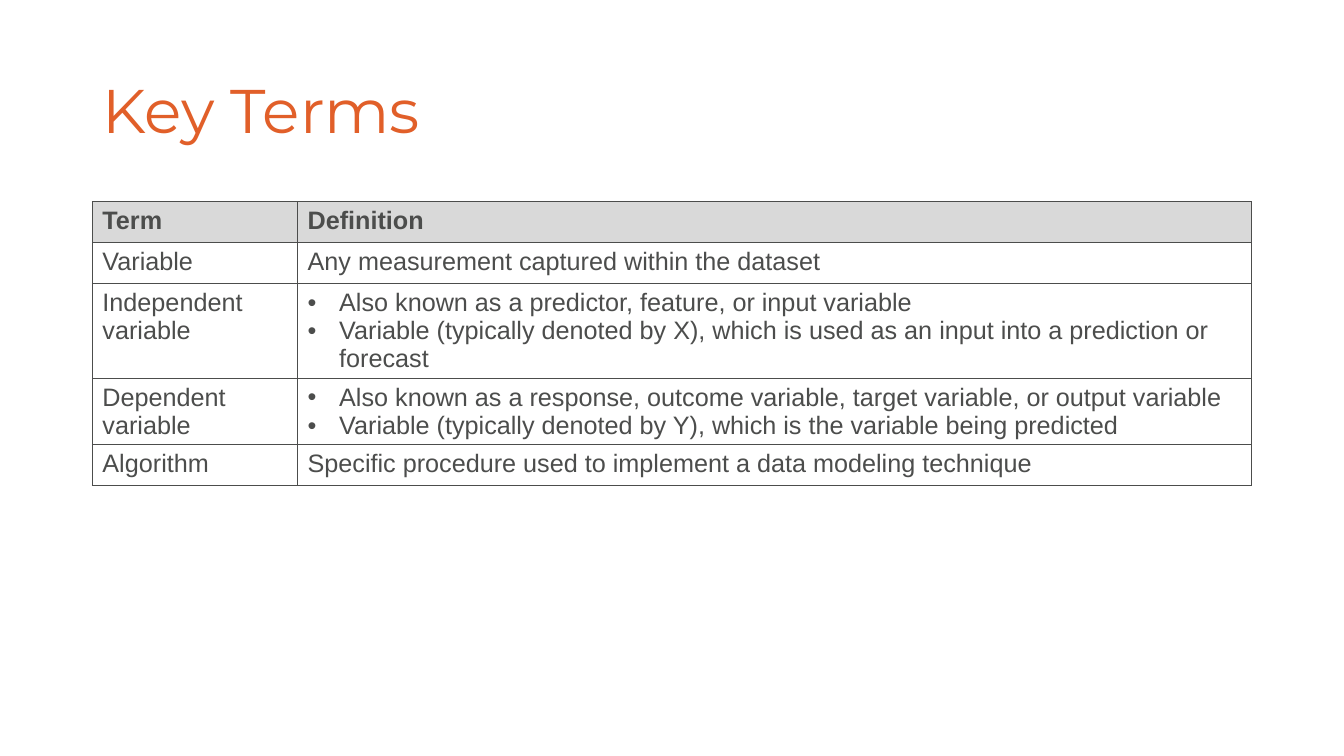
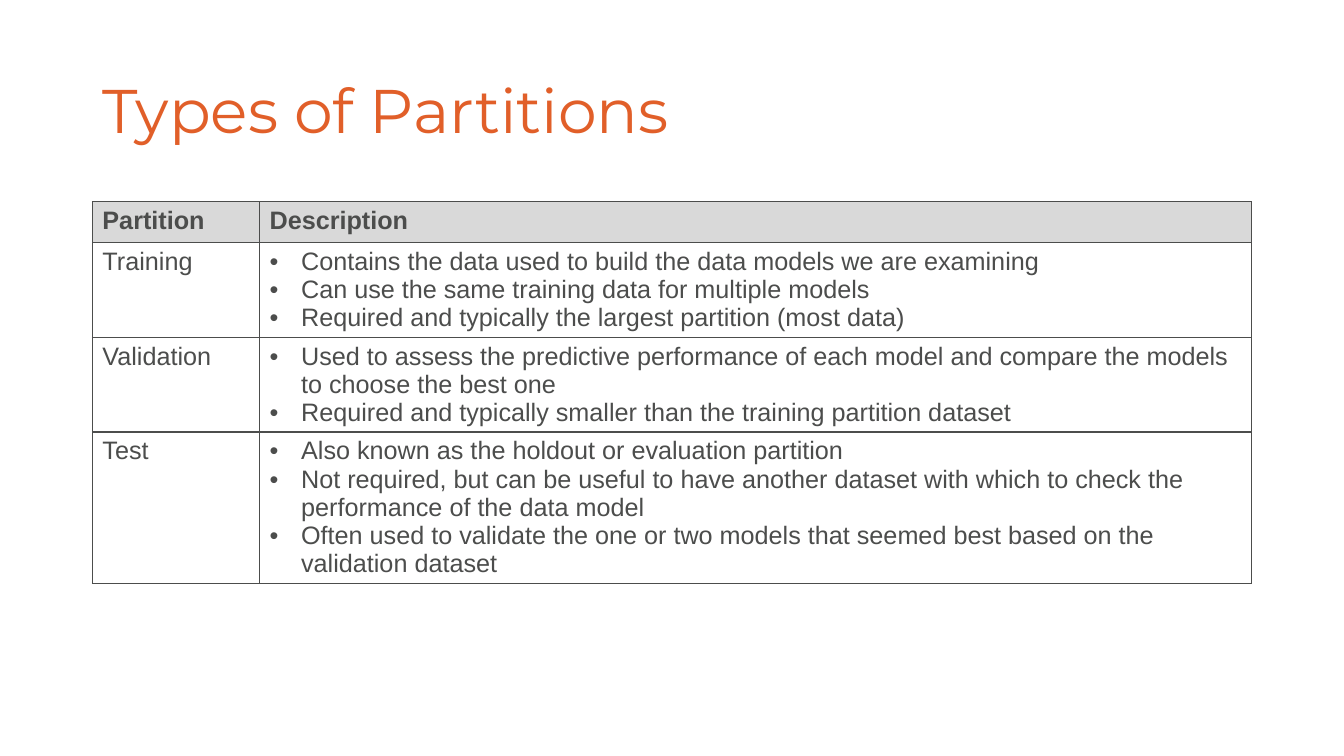
from dataclasses import dataclass

from lxml import etree
from pptx import Presentation
from pptx.dml.color import RGBColor
from pptx.enum.text import MSO_ANCHOR, MSO_AUTO_SIZE, PP_ALIGN
from pptx.oxml.ns import qn
from pptx.presentation import Presentation as Deck
from pptx.slide import Slide
from pptx.table import _Cell
from pptx.text.text import Font, _Paragraph
from pptx.util import Length, Pt

LEFT = PP_ALIGN.LEFT
MIDDLE = MSO_ANCHOR.MIDDLE
NO_AUTOFIT = MSO_AUTO_SIZE.NONE
TITLE_ONLY = 5
CELL_SIDES = ("a:lnL", "a:lnR", "a:lnT", "a:lnB")


@dataclass(frozen=True)
class Theme:
    accent: RGBColor = RGBColor(0xE1, 0x5F, 0x29)
    ink: RGBColor = RGBColor(0x4C, 0x4D, 0x4C)
    header_fill: RGBColor = RGBColor(0xD9, 0xD9, 0xD9)
    title_font: str = "Montserrat"
    table_font: str = "Arial"
    title_size: Length = Pt(44)
    table_size: Length = Pt(18)
    border: Length = Pt(1)
    bullet_indent: Length = Pt(22.5)


@dataclass(frozen=True)
class Layout:
    slide_width: Length = Pt(960)
    slide_height: Length = Pt(540)
    left: Length = Pt(66)
    width: Length = Pt(828)
    title_top: Length = Pt(28.75)
    title_height: Length = Pt(104.4)
    table_top: Length = Pt(144)
    row_height: Length = Pt(29.2)


@dataclass(frozen=True)
class Entry:
    term: str
    lines: tuple[str, ...]
    bulleted: bool = True


@dataclass(frozen=True)
class Glossary:
    title: str
    headings: tuple[str, str]
    term_width: Length
    entries: tuple[Entry, ...]


THEME = Theme()
LAYOUT = Layout()

GLOSSARIES = (
    Glossary("Key Terms", ("Term", "Definition"), Pt(146.6), (
        Entry("Variable", ("Any measurement captured within the dataset",), False),
        Entry("Independent variable", (
            "Also known as a predictor, feature, or input variable",
            "Variable (typically denoted by X), which is used as an input into a prediction or forecast",
        )),
        Entry("Dependent variable", (
            "Also known as a response, outcome variable, target variable, or output variable",
            "Variable (typically denoted by Y), which is the variable being predicted",
        )),
        Entry("Algorithm", ("Specific procedure used to implement a data modeling technique",), False),
    )),
    Glossary("Types of Partitions", ("Partition", "Description"), Pt(119.4), (
        Entry("Training", (
            "Contains the data used to build the data models we are examining",
            "Can use the same training data for multiple models",
            "Required and typically the largest partition (most data)",
        )),
        Entry("Validation", (
            "Used to assess the predictive performance of each model and compare the models to choose the best one",
            "Required and typically smaller than the training partition dataset",
        )),
        Entry("Test", (
            "Also known as the holdout or evaluation partition",
            "Not required, but can be useful to have another dataset with which to check the performance of the data model",
            "Often used to validate the one or two models that seemed best based on the validation dataset",
        )),
    )),
)


def style_font(font: Font, name: str, size: Length, color: RGBColor, bold: bool = False) -> None:
    font.name = name
    font.size = size
    font.bold = bold
    font.color.rgb = color


def add_bullet(paragraph: _Paragraph) -> None:
    properties = paragraph._p.get_or_add_pPr()
    properties.set("marL", str(THEME.bullet_indent))
    properties.set("indent", str(-THEME.bullet_indent))
    etree.SubElement(properties, qn("a:buFont")).set("typeface", THEME.table_font)
    etree.SubElement(properties, qn("a:buChar")).set("char", "•")


def draw_borders(cell: _Cell) -> None:
    properties = cell._tc.get_or_add_tcPr()
    for side in CELL_SIDES:
        line = etree.SubElement(properties, qn(side))
        line.set("w", str(THEME.border))
        fill = etree.SubElement(line, qn("a:solidFill"))
        etree.SubElement(fill, qn("a:srgbClr")).set("val", str(THEME.ink))


def fill_cell(cell: _Cell, lines: tuple[str, ...], header: bool = False, bulleted: bool = False) -> None:
    draw_borders(cell)
    if header:
        cell.fill.solid()
        cell.fill.fore_color.rgb = THEME.header_fill
    else:
        cell.fill.background()
    cell.text_frame.text = "\n".join(lines)
    for paragraph in cell.text_frame.paragraphs:
        if bulleted:
            add_bullet(paragraph)
        for run in paragraph.runs:
            style_font(run.font, THEME.table_font, THEME.table_size, THEME.ink, header)


def draw_title(slide: Slide, wording: str) -> None:
    title = slide.shapes.title
    title.left, title.top = LAYOUT.left, LAYOUT.title_top
    title.width, title.height = LAYOUT.width, LAYOUT.title_height
    frame = title.text_frame
    frame.text = wording
    frame.word_wrap = True
    frame.auto_size = NO_AUTOFIT
    frame.vertical_anchor = MIDDLE
    heading = frame.paragraphs[0]
    heading.alignment = LEFT
    heading.line_spacing = 0.9
    style_font(heading.runs[0].font, THEME.title_font, THEME.title_size, THEME.accent)


def draw_table(slide: Slide, glossary: Glossary) -> None:
    row_count = len(glossary.entries) + 1
    table = slide.shapes.add_table(
        row_count, 2, LAYOUT.left, LAYOUT.table_top, LAYOUT.width, LAYOUT.row_height * row_count
    ).table
    table.first_row = False
    table.horz_banding = False
    table.columns[0].width = glossary.term_width
    table.columns[1].width = LAYOUT.width - glossary.term_width
    for column, heading in enumerate(glossary.headings):
        fill_cell(table.cell(0, column), (heading,), header=True)
    for row, entry in enumerate(glossary.entries, start=1):
        fill_cell(table.cell(row, 0), (entry.term,))
        fill_cell(table.cell(row, 1), entry.lines, bulleted=entry.bulleted)


def add_glossary(deck: Deck, glossary: Glossary) -> None:
    slide = deck.slides.add_slide(deck.slide_layouts[TITLE_ONLY])
    draw_title(slide, glossary.title)
    draw_table(slide, glossary)


def main() -> None:
    deck = Presentation()
    deck.slide_width = LAYOUT.slide_width
    deck.slide_height = LAYOUT.slide_height
    for glossary in GLOSSARIES:
        add_glossary(deck, glossary)
    deck.save("out.pptx")


if __name__ == "__main__":
    main()
